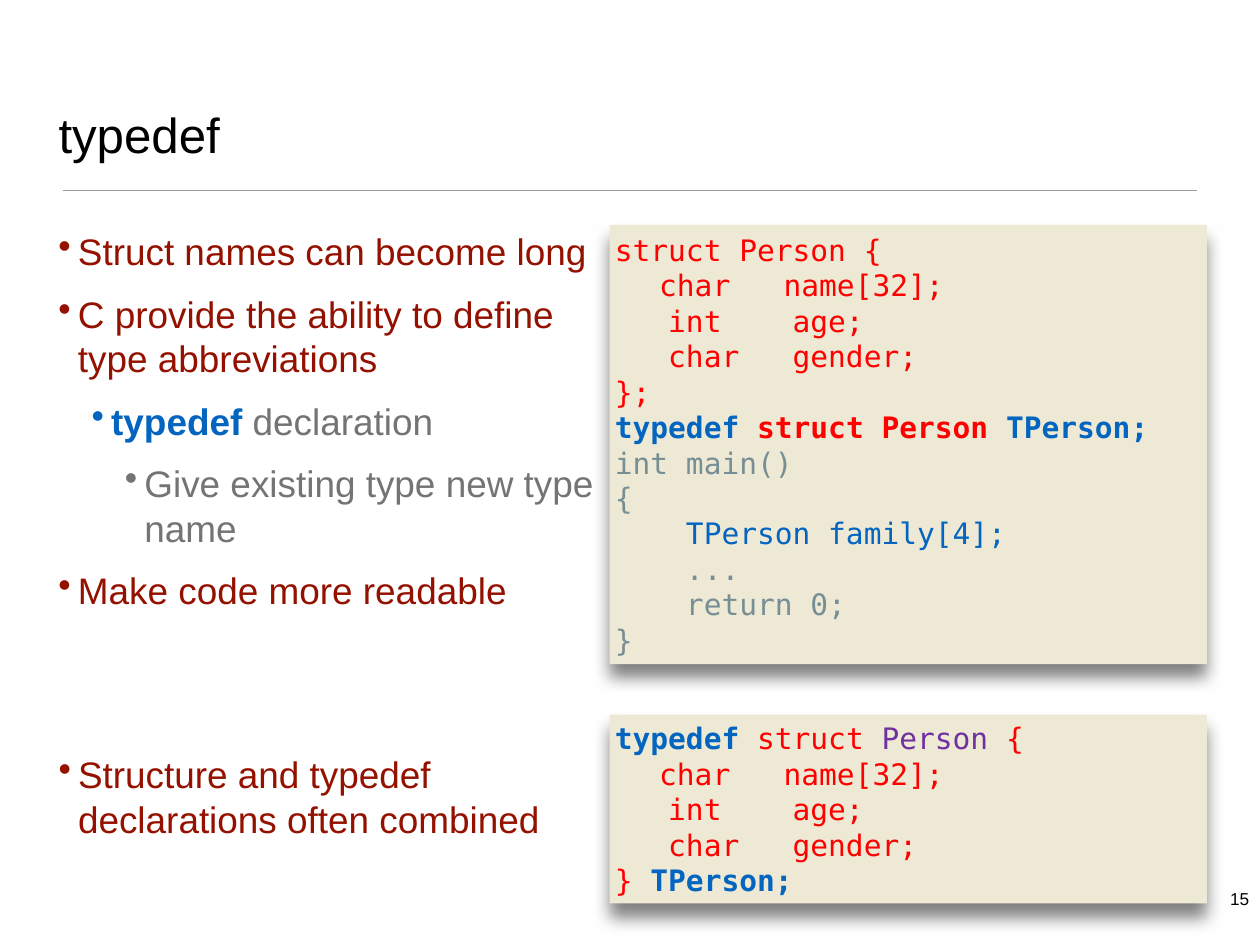
from dataclasses import dataclass

from lxml.etree import SubElement
from pptx import Presentation
from pptx.dml.color import RGBColor
from pptx.enum.shapes import MSO_CONNECTOR, MSO_SHAPE
from pptx.enum.text import MSO_ANCHOR, MSO_AUTO_SIZE, PP_ALIGN
from pptx.oxml.ns import qn
from pptx.util import Inches, Pt


@dataclass(frozen=True)
class Theme:
    black: str = "000000"
    rule: str = "9A9A9A"
    maroon: str = "941100"
    grey: str = "747474"
    blue: str = "0365C0"
    red: str = "FF0000"
    slate: str = "788E95"
    purple: str = "7030A0"
    panel: str = "EEE9D4"
    text_font: str = "Arial"
    code_font: str = "DejaVu Sans Mono"
    title_size: int = 40
    body_size: int = 30
    code_size: int = 24
    number_size: int = 14


THEME = Theme()

# A run is (text, colour) or (text, colour, bold).
TITLE = "typedef"
SLIDE_NUMBER = "15"
# Each bullet is (level, runs).
MAIN_BULLETS = [
    (0, [("Struct names can become long", THEME.maroon)]),
    (0, [("C provide the ability to define type abbreviations", THEME.maroon)]),
    (1, [("typedef", THEME.blue, True), (" declaration", THEME.grey)]),
    (2, [("Give existing type new type name", THEME.grey)]),
    (0, [("Make code more readable", THEME.maroon)]),
]
COMBINED_BULLETS = [
    (0, [("Structure and typedef declarations often combined", THEME.maroon)]),
]
MEMBERS = [
    [(" \tchar   name[32];", THEME.red)],
    [("   int    age;", THEME.red)],
    [("   char   gender;", THEME.red)],
]
SEPARATE_CODE = [
    [("struct Person {", THEME.red)],
    *MEMBERS,
    [("};", THEME.red)],
    [("typedef ", THEME.blue, True), ("struct Person ", THEME.red, True),
     ("TPerson;", THEME.blue, True)],
    [("int main()", THEME.slate)],
    [("{", THEME.slate)],
    [("    TPerson family[4];", THEME.blue)],
    [("    ...", THEME.slate)],
    [("    return 0;", THEME.slate)],
    [("}", THEME.slate)],
]
COMBINED_CODE = [
    [("typedef ", THEME.blue, True), ("struct ", THEME.red),
     ("Person", THEME.purple), (" {", THEME.red)],
    *MEMBERS,
    [("} ", THEME.red), ("TPerson;", THEME.blue, True)],
]

LEFT, CODE_LEFT, RIGHT = 0.62, 6.88, 13.62
NUMBER_LEFT = RIGHT + 0.21  # clear of the code panel and its shadow
BULLET_HANG, LEVEL_STEP = 0.22, 0.375
TEXT_INSET, CODE_INSET, CODE_TAB = 0.04, 0.06, 0.5


def rgb(colour):
    return RGBColor.from_string(colour)


def set_frame(frame, inset, anchor=MSO_ANCHOR.TOP, wrap=True):
    frame.auto_size = MSO_AUTO_SIZE.NONE
    frame.word_wrap = wrap
    frame.vertical_anchor = anchor
    frame.margin_left = frame.margin_right = Inches(inset)
    frame.margin_top = frame.margin_bottom = Inches(inset)


def write(paragraph, runs, font_name, size, align=PP_ALIGN.LEFT):
    paragraph.alignment = align
    paragraph.font.name = font_name
    paragraph.font.size = Pt(size)
    for text, colour, *bold in runs:
        run = paragraph.add_run()
        run.text = text
        run.font.name = font_name
        run.font.size = Pt(size)
        run.font.color.rgb = rgb(colour)
        run.font.bold = bool(bold)


def paragraphs(frame, count):
    return [frame.paragraphs[0]] + [frame.add_paragraph() for _ in range(count - 1)]


def add_text_box(slide, left, top, width, height, wrap=True):
    box = slide.shapes.add_textbox(*map(Inches, (left, top, width, height)))
    set_frame(box.text_frame, TEXT_INSET, wrap=wrap)
    return box.text_frame


def add_bullets(slide, top, width, height, bullets):
    frame = add_text_box(slide, LEFT, top, width, height)
    for paragraph, (level, runs) in zip(paragraphs(frame, len(bullets)), bullets):
        paragraph.level = level
        paragraph.space_before = Pt(15)
        properties = paragraph._p.get_or_add_pPr()
        properties.set("marL", str(Inches(BULLET_HANG + level * LEVEL_STEP)))
        properties.set("indent", str(-Inches(BULLET_HANG)))
        SubElement(properties, qn("a:buChar"), char="•")
        write(paragraph, runs, THEME.text_font, THEME.body_size)


def add_code_panel(slide, top, height, lines):
    panel = slide.shapes.add_shape(
        MSO_SHAPE.RECTANGLE, Inches(CODE_LEFT), Inches(top),
        Inches(RIGHT - CODE_LEFT), Inches(height))
    panel.fill.solid()
    panel.fill.fore_color.rgb = rgb(THEME.panel)
    panel.line.fill.background()
    add_drop_shadow(panel)
    set_frame(panel.text_frame, CODE_INSET, MSO_ANCHOR.MIDDLE)
    for paragraph, runs in zip(paragraphs(panel.text_frame, len(lines)), lines):
        tabs = SubElement(paragraph._p.get_or_add_pPr(), qn("a:tabLst"))
        SubElement(tabs, qn("a:tab"), pos=str(Inches(CODE_TAB)), algn="l")
        write(paragraph, runs, THEME.code_font, THEME.code_size)


def add_drop_shadow(shape):
    shape.shadow.inherit = False
    effects = shape._element.spPr.find(qn("a:effectLst"))
    shadow = SubElement(effects, qn("a:outerShdw"), blurRad=str(Pt(14)),
                        dist=str(Pt(11)), dir="5400000", rotWithShape="0")
    colour = SubElement(shadow, qn("a:srgbClr"), val=THEME.black)
    SubElement(colour, qn("a:alpha"), val="50000")


def add_title(slide):
    title = slide.shapes.title
    title.left, title.top = Inches(LEFT), Inches(0.36)
    title.width, title.height = Inches(12.97), Inches(1.53)
    set_frame(title.text_frame, TEXT_INSET, MSO_ANCHOR.BOTTOM)
    write(title.text_frame.paragraphs[0], [(TITLE, THEME.black)],
          THEME.text_font, THEME.title_size)


def add_title_rule(slide):
    rule = slide.shapes.add_connector(
        MSO_CONNECTOR.STRAIGHT, *map(Inches, (0.71, 2.15, 13.51, 2.15)))
    rule.line.color.rgb = rgb(THEME.rule)
    rule.line.width = Pt(1)
    SubElement(rule._element.spPr, qn("a:effectLst"))


def add_slide_number(slide):
    frame = add_text_box(slide, NUMBER_LEFT, 9.99, 0.31, 0.3, wrap=False)
    write(frame.paragraphs[0], [(SLIDE_NUMBER, THEME.black)],
          THEME.text_font, THEME.number_size, PP_ALIGN.RIGHT)


def main():
    presentation = Presentation()
    presentation.slide_width = Inches(14.22)
    presentation.slide_height = Inches(10.67)
    slide = presentation.slides.add_slide(presentation.slide_layouts[5])

    add_title(slide)
    add_title_rule(slide)
    add_bullets(slide, 2.54, 6.26, 5.97, MAIN_BULLETS)
    add_code_panel(slide, 2.54, 4.96, SEPARATE_CODE)
    add_bullets(slide, 8.45, 6.02, 1.53, COMBINED_BULLETS)
    add_code_panel(slide, 8.07, 2.13, COMBINED_CODE)
    add_slide_number(slide)

    presentation.save("out.pptx")


if __name__ == "__main__":
    main()
